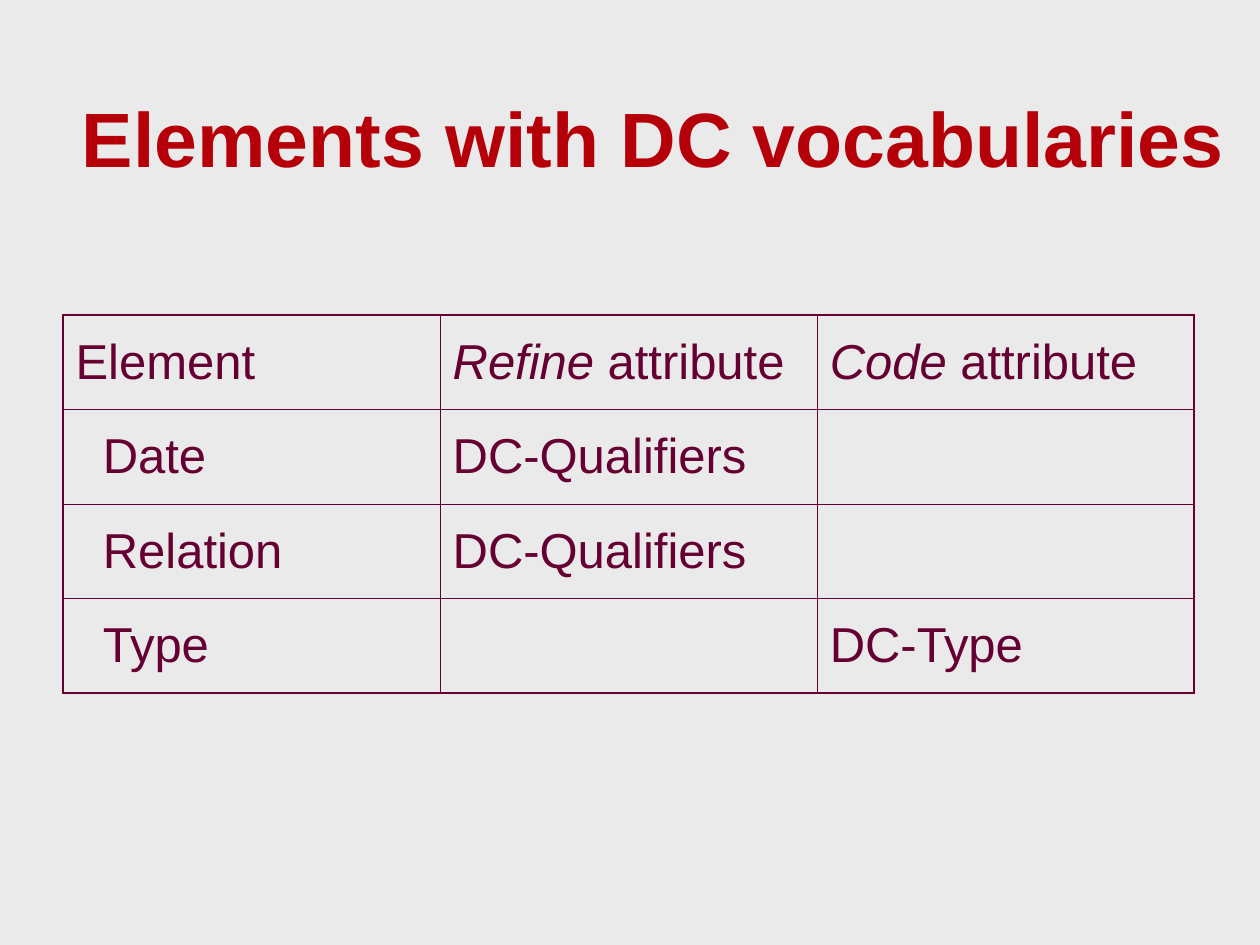
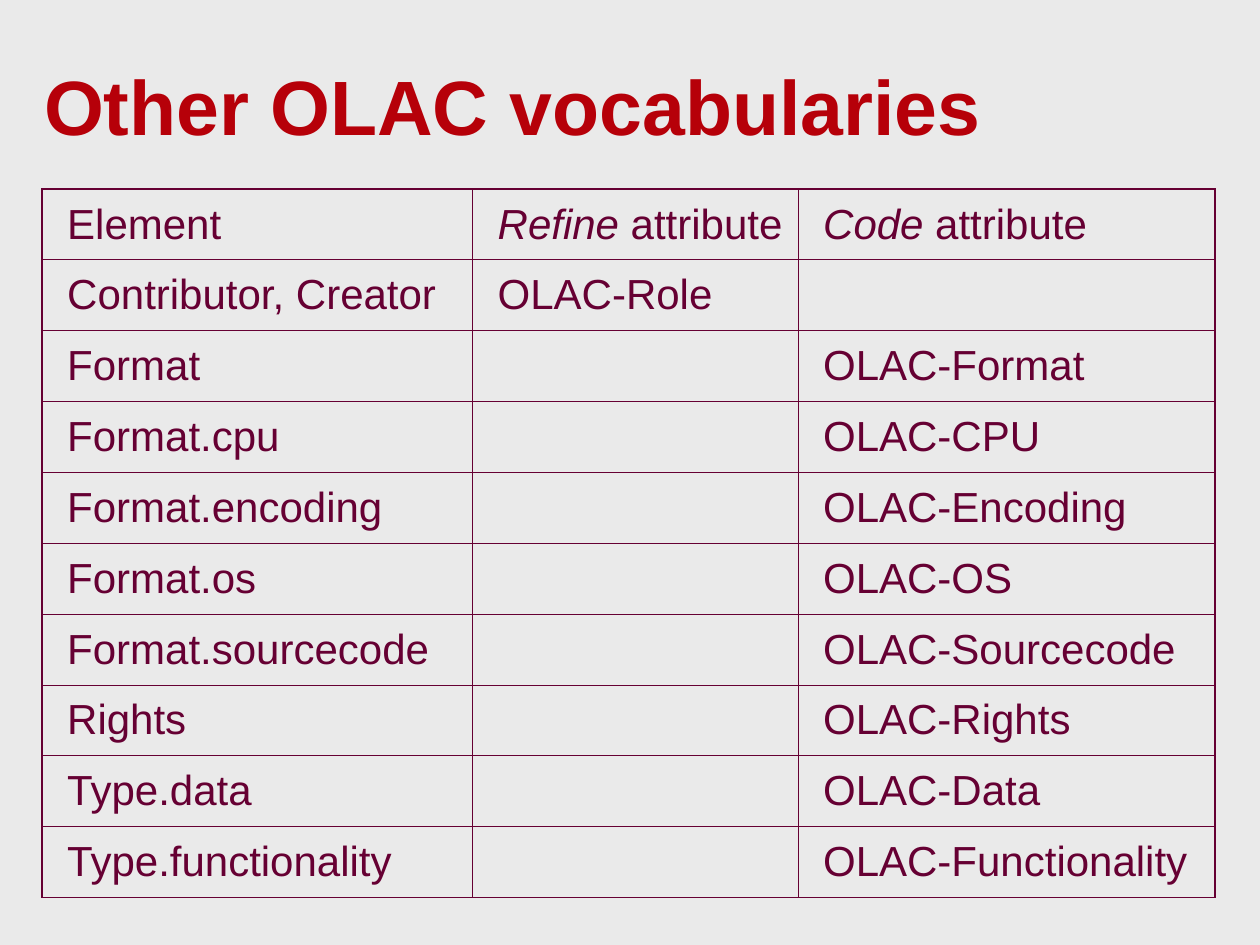
from dataclasses import dataclass

import pptx
import pptx.dml.color
import pptx.enum.text
import pptx.oxml.ns
import pptx.util
from lxml import etree

Pt = pptx.util.Pt
RGBColor = pptx.dml.color.RGBColor
MSO_ANCHOR = pptx.enum.text.MSO_ANCHOR


@dataclass(frozen=True)
class Theme:
    font: str = "Arial"
    background: RGBColor = RGBColor(0xEA, 0xEA, 0xEA)
    title_color: RGBColor = RGBColor(0xB6, 0x00, 0x09)
    table_color: RGBColor = RGBColor(0x66, 0x00, 0x33)
    title_size: int = 44
    large_table_size: int = 28
    small_table_size: int = 24
    outer_line: float = 1.08
    inner_line: float = 0.45


THEME = Theme()

# A tuple is an italic word and the plain text after it.
HEADER = ("Element", ("Refine", " attribute"), ("Code", " attribute"))

DC_ROWS = [
    ("Date", "DC-Qualifiers", ""),
    ("Relation", "DC-Qualifiers", ""),
    ("Type", "", "DC-Type"),
]

OLAC_ROWS = [
    ("Contributor, Creator", "OLAC-Role", ""),
    ("Format", "", "OLAC-Format"),
    ("Format.cpu", "", "OLAC-CPU"),
    ("Format.encoding", "", "OLAC-Encoding"),
    ("Format.os", "", "OLAC-OS"),
    ("Format.sourcecode", "", "OLAC-Sourcecode"),
    ("Rights", "", "OLAC-Rights"),
    ("Type.data", "", "OLAC-Data"),
    ("Type.functionality", "", "OLAC-Functionality"),
]


def style_font(font, size, color, bold=False):
    font.name = THEME.font
    font.size = Pt(size)
    font.color.rgb = color
    font.bold = bold


def add_titled_slide(presentation, title, left, top):
    slide = presentation.slides.add_slide(presentation.slide_layouts[5])
    shape = slide.shapes.title
    shape.left, shape.top, shape.width, shape.height = Pt(left), Pt(top), Pt(680.4), Pt(60.5)
    frame = shape.text_frame
    frame.text = title
    frame.vertical_anchor = MSO_ANCHOR.BOTTOM
    frame.auto_size = pptx.enum.text.MSO_AUTO_SIZE.NONE
    paragraph = frame.paragraphs[0]
    paragraph.alignment = pptx.enum.text.PP_ALIGN.LEFT
    style_font(paragraph.font, THEME.title_size, THEME.title_color, bold=True)
    return slide


def set_borders(cell, outer_sides):
    """Draw all four borders, heavier on the sides named in outer_sides."""
    properties = cell._tc.get_or_add_tcPr()
    for position, side in enumerate("LRTB"):
        width = THEME.outer_line if side in outer_sides else THEME.inner_line
        line = etree.Element(pptx.oxml.ns.qn(f"a:ln{side}"), w=str(Pt(width)))
        fill = etree.SubElement(line, pptx.oxml.ns.qn("a:solidFill"))
        etree.SubElement(fill, pptx.oxml.ns.qn("a:srgbClr"), val=str(THEME.table_color))
        properties.insert(position, line)


def fill_cell(cell, content, size, margin_left):
    cell.fill.background()
    cell.vertical_anchor = MSO_ANCHOR.MIDDLE
    cell.margin_left = Pt(margin_left)
    paragraph = cell.text_frame.paragraphs[0]
    paragraph.space_before = Pt(size / 4)
    style_font(paragraph.font, size, THEME.table_color)
    if isinstance(content, tuple):
        for text, italic in zip(content, (True, False)):
            run = paragraph.add_run()
            run.text = text
            run.font.italic = italic
    elif content:
        paragraph.add_run().text = content


def add_vocabulary_table(slide, body, left, top, widths, row_height, size,
                         margin_left, element_indent=0):
    """Add the header and body; element_indent shifts the body's first column."""
    rows = [HEADER, *body]
    last_row, last_column = len(rows) - 1, len(widths) - 1
    table = slide.shapes.add_table(
        len(rows), len(widths), Pt(left), Pt(top),
        Pt(sum(widths)), Pt(row_height * len(rows))).table
    table.first_row = table.horz_banding = False
    for column, width in zip(table.columns, widths):
        column.width = Pt(width)
    for row_index, row in enumerate(rows):
        table.rows[row_index].height = Pt(row_height)
        for column_index, content in enumerate(row):
            cell = table.cell(row_index, column_index)
            indented = row_index > 0 and column_index == 0
            fill_cell(cell, content, size,
                      margin_left + (element_indent if indented else 0))
            edges = {"L": column_index == 0, "R": column_index == last_column,
                     "T": row_index == 0, "B": row_index == last_row}
            set_borders(cell, [side for side, outer in edges.items() if outer])


def main():
    presentation = pptx.Presentation()
    presentation.slide_width, presentation.slide_height = Pt(720), Pt(540)
    background = presentation.slide_master.background.fill
    background.solid()
    background.fore_color.rgb = THEME.background

    slide = add_titled_slide(presentation, "Elements with DC vocabularies", 39.6, 47.5)
    add_vocabulary_table(slide, DC_ROWS, left=36, top=180, widths=[215.5] * 3,
                         row_height=54, size=THEME.large_table_size,
                         margin_left=7.2, element_indent=15.6)

    slide = add_titled_slide(presentation, "Other OLAC vocabularies", 18, 29.5)
    add_vocabulary_table(slide, OLAC_ROWS, left=24, top=108, widths=[246, 186, 238.4],
                         row_height=40.5, size=THEME.small_table_size,
                         margin_left=14.4)

    presentation.save("out.pptx")


if __name__ == "__main__":
    main()
